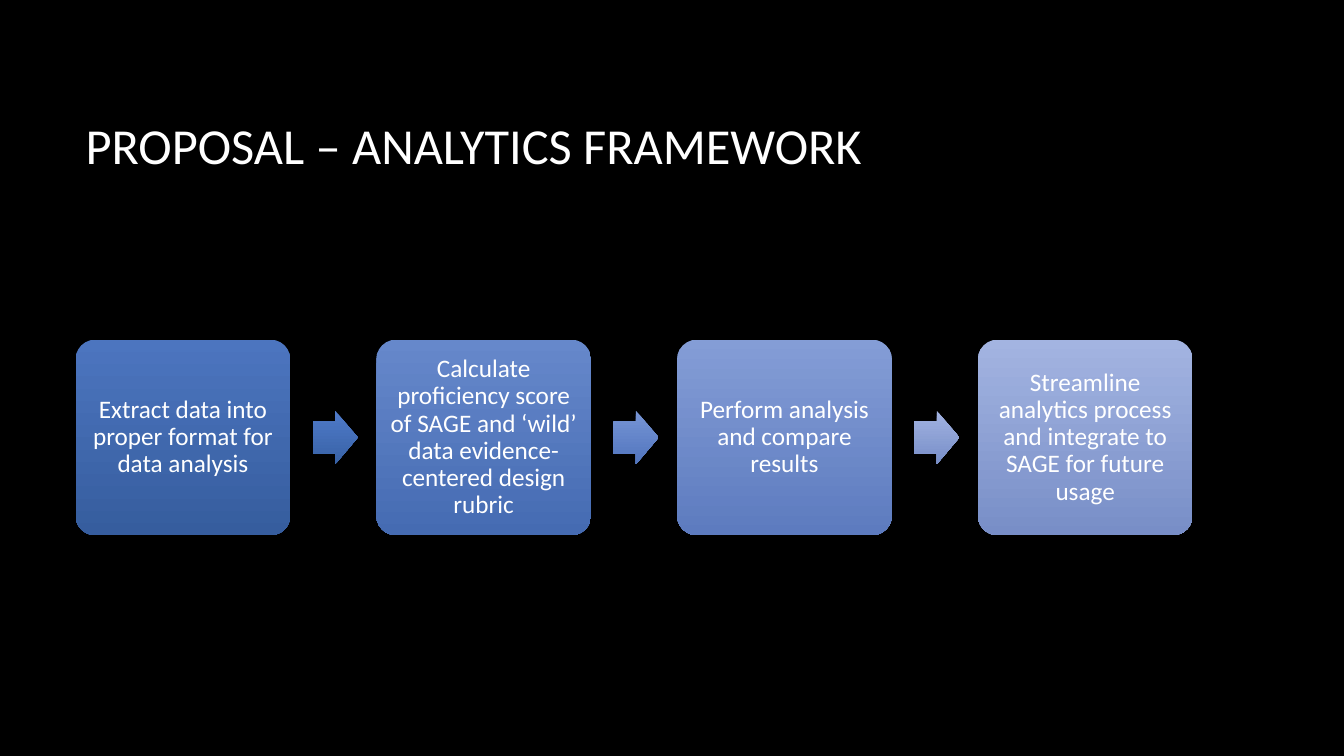
from dataclasses import dataclass

from pptx import Presentation
from pptx.dml.color import RGBColor
from pptx.enum.shapes import MSO_SHAPE
from pptx.enum.text import MSO_ANCHOR, PP_ALIGN
from pptx.shapes.autoshape import Shape
from pptx.slide import Slide
from pptx.util import Inches, Pt

BLACK = RGBColor(0x00, 0x00, 0x00)
WHITE = RGBColor(0xFF, 0xFF, 0xFF)
NAVY = (RGBColor(0x4C, 0x75, 0xBF), RGBColor(0x36, 0x5D, 0x9E))
NAVY_ARROW = (RGBColor(0x4F, 0x7A, 0xC9), RGBColor(0x38, 0x62, 0xA6))
BLUE = (RGBColor(0x66, 0x88, 0xCB), RGBColor(0x45, 0x6B, 0xB2))
BLUE_ARROW = (RGBColor(0x77, 0x95, 0xD5), RGBColor(0x51, 0x75, 0xBE))
SKY = (RGBColor(0x84, 0x9D, 0xD6), RGBColor(0x5D, 0x7B, 0xBF))
PALE_ARROW = (RGBColor(0xA2, 0xB3, 0xE1), RGBColor(0x77, 0x8E, 0xC8))
PALE = (RGBColor(0xA3, 0xB4, 0xE1), RGBColor(0x78, 0x8E, 0xC7))

Gradient = tuple[RGBColor, RGBColor]

LEFT = 0.75
COLUMN = 2.983
MIDDLE = 4.34
BOX_W, BOX_H = 2.13, 1.94
ARROW_W, ARROW_H = 0.45, 0.53
ARROW_OFFSET = 2.35


@dataclass(frozen=True)
class Step:
    text: str
    fill: Gradient
    arrow: Gradient | None = None


STEPS = [
    Step("Extract data into proper format for data analysis", NAVY, NAVY_ARROW),
    Step("Calculate proficiency score of SAGE and ‘wild’ data "
         "evidence-centered design rubric", BLUE, BLUE_ARROW),
    Step("Perform analysis and compare results", SKY, PALE_ARROW),
    Step("Streamline analytics process and integrate to SAGE for future usage", PALE),
]


def write(sp: Shape, text: str, *, size: float, align: PP_ALIGN = PP_ALIGN.LEFT,
          spacing: float = 0.9, inset: float = 0.1) -> None:
    tf = sp.text_frame
    tf.word_wrap = True
    tf.vertical_anchor = MSO_ANCHOR.MIDDLE
    tf.margin_left = tf.margin_right = Inches(inset)
    tf.margin_top = tf.margin_bottom = Inches(min(inset, 0.07))
    p = tf.paragraphs[0]
    p.alignment = align
    p.line_spacing = spacing
    r = p.add_run()
    r.text = text
    r.font.name = "Calibri"
    r.font.size = Pt(size)
    r.font.color.rgb = WHITE


def add_block(s: Slide, kind: MSO_SHAPE, x: float, w: float, h: float,
              colors: Gradient, adjustments: list[float]) -> Shape:
    sp = s.shapes.add_shape(kind, Inches(x), Inches(MIDDLE - h / 2), Inches(w), Inches(h))
    sp.shadow.inherit = False
    sp.line.fill.background()
    sp.fill.gradient()
    sp.fill.gradient_angle = 270
    for stop, color in zip(sp.fill.gradient_stops, colors):
        stop.color.rgb = color
    for i, value in enumerate(adjustments):
        sp.adjustments[i] = value
    return sp


def add_step(s: Slide, column: int, step: Step) -> None:
    x = LEFT + column * COLUMN
    box = add_block(s, MSO_SHAPE.ROUNDED_RECTANGLE, x, BOX_W, BOX_H, step.fill, [0.1])
    write(box, step.text, size=18, align=PP_ALIGN.CENTER, inset=0.07)
    if step.arrow:
        add_block(s, MSO_SHAPE.RIGHT_ARROW, x + ARROW_OFFSET, ARROW_W, ARROW_H,
                  step.arrow, [0.6, 0.5])


def main() -> None:
    prs = Presentation()
    prs.slide_width, prs.slide_height = Inches(13.33), Inches(7.5)
    s = prs.slides.add_slide(prs.slide_layouts[6])
    s.background.fill.solid()
    s.background.fill.fore_color.rgb = BLACK

    title = s.shapes.add_textbox(Inches(LEFT), Inches(0.67), Inches(11.08), Inches(1.59))
    write(title, "PROPOSAL – ANALYTICS FRAMEWORK", size=36)
    for column, step in enumerate(STEPS):
        add_step(s, column, step)
    prs.save("out.pptx")


if __name__ == "__main__":
    main()
